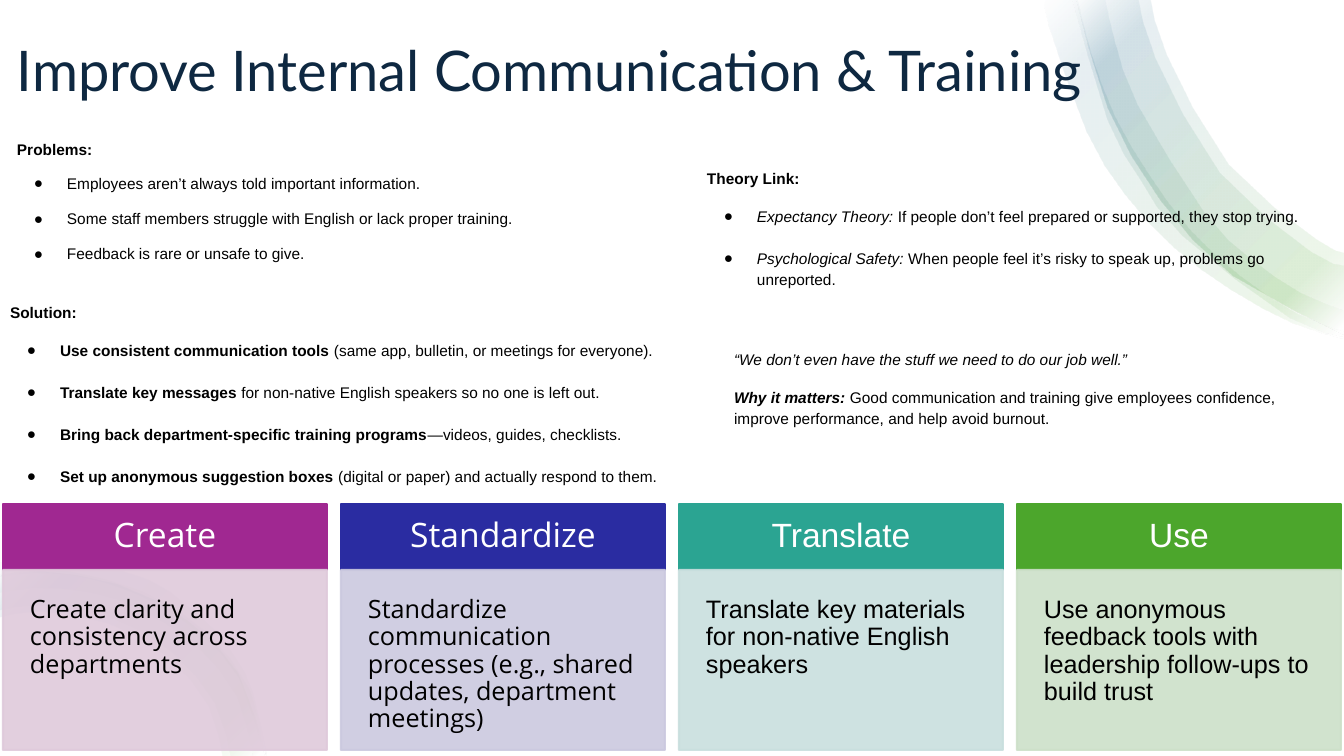
from lxml import etree
from pptx import Presentation
from pptx.dml.color import RGBColor
from pptx.enum.shapes import MSO_SHAPE
from pptx.enum.text import MSO_ANCHOR, PP_ALIGN
from pptx.oxml.ns import qn
from pptx.util import Pt

WIDTH, HEIGHT = 1344, 756
EMU_PER_PX = 12192000 / WIDTH

RECTANGLE = MSO_SHAPE.RECTANGLE
TOP, MIDDLE = MSO_ANCHOR.TOP, MSO_ANCHOR.MIDDLE
LEFT, CENTER = PP_ALIGN.LEFT, PP_ALIGN.CENTER

NAVY = RGBColor(0x0E, 0x28, 0x41)
BLACK = RGBColor(0x00, 0x00, 0x00)
WHITE = RGBColor(0xFF, 0xFF, 0xFF)
GREEN = RGBColor(0x4E, 0xA7, 0x2E)
BLUE = RGBColor(0x15, 0x60, 0x82)
PURPLE, PALE_PURPLE = RGBColor(0xA0, 0x28, 0x91), RGBColor(0xDF, 0xCA, 0xDB)
INDIGO, PALE_INDIGO = RGBColor(0x2A, 0x2C, 0xA1), RGBColor(0xCB, 0xC9, 0xDF)
TEAL, PALE_TEAL = RGBColor(0x2B, 0xA4, 0x92), RGBColor(0xC9, 0xDF, 0xDE)
LEAF, PALE_LEAF = RGBColor(0x4C, 0xA6, 0x2C), RGBColor(0xCD, 0xE0, 0xC9)

RIBBON_STOPS = [(0, WHITE), (2, WHITE), (16, GREEN), (85, BLUE), (100, WHITE)]

# Ribbons: outer edge, then inner edge running back
CORNER_ARC = [(1344, 335), (1233, 276), (1161, 201), (1108, 108), (1077, 0)]
FOOT_ARC = [(265, 756), (238, 674), (187, 621), (118, 585), (40, 572), (0, 577)]
RIBBONS = [
    ([(1344, 338), (1292, 322), (1231, 289), (1174, 247), (1125, 194), (1087, 132),
      (1049, 26), (1045, 0)],
     [(1078, 0), (1091, 52), (1115, 116), (1149, 174), (1190, 229), (1240, 275),
      (1296, 312), (1344, 331)]),
    (CORNER_ARC, [(1151, 0), (1167, 55), (1229, 165), (1317, 240), (1344, 253)]),
    ([(1344, 336), (1289, 317), (1182, 235), (1141, 180), (1108, 120), (1073, 0)],
     [(1106, 0), (1116, 44), (1138, 105), (1205, 213), (1249, 257), (1300, 292), (1344, 310)]),
    (CORNER_ARC, [(1139, 0), (1156, 59), (1220, 173), (1311, 252), (1344, 266)]),
    (FOOT_ARC, [(0, 618), (40, 612), (108, 624), (167, 657), (208, 706), (222, 756)]),
    (FOOT_ARC, [(0, 611), (40, 606), (110, 618), (171, 652), (214, 703), (230, 756)]),
    ([(265, 756), (249, 690), (205, 632), (143, 592), (70, 572), (31, 571), (0, 576)],
     [(0, 593), (33, 589), (68, 590), (102, 596), (135, 608), (194, 644), (236, 697), (252, 756)]),
    ([(266, 756), (252, 692), (235, 658), (212, 628), (182, 602), (149, 580), (72, 557),
      (31, 557), (0, 563)],
     [(0, 577), (32, 573), (70, 575), (106, 583), (140, 596), (172, 614), (202, 636),
      (238, 678), (264, 756)]),
]

CARDS = [
    ("Create", "Create clarity and consistency across departments",
     PURPLE, PALE_PURPLE, "Open Sans"),
    ("Standardize", "Standardize communication processes (e.g., shared updates, "
     "department meetings)", INDIGO, PALE_INDIGO, "Open Sans"),
    ("Translate", "Translate key materials for non-native English speakers",
     TEAL, PALE_TEAL, "Arial"),
    ("Use", "Use anonymous feedback tools with leadership follow-ups to build trust",
     LEAF, PALE_LEAF, "Arial"),
]
CARD_LEFT, CARD_PITCH, CARD_WIDTH = 3, 338, 324

# Runs are (text, style), where style holds "b" for bold and "i" for italic
PROBLEMS = [
    [("Employees aren’t always told important information.", "")],
    [("Some staff members struggle with English or lack proper training.", "")],
    [("Feedback is rare or unsafe to give.", "")],
]
THEORIES = [
    [("Expectancy Theory:", "i"),
     (" If people don’t feel prepared or supported, they stop trying.", "")],
    [("Psychological Safety:", "i"),
     (" When people feel it’s risky to speak up, problems go unreported.", "")],
]
SOLUTIONS = [
    [("Use consistent communication tools", "b"),
     (" (same app, bulletin, or meetings for everyone).", "")],
    [("Translate key messages", "b"),
     (" for non-native English speakers so no one is left out.", "")],
    [("Bring back department-specific training programs", "b"),
     ("—videos, guides, checklists.", "")],
    [("Set up anonymous suggestion boxes", "b"),
     (" (digital or paper) and actually respond to them.", "")],
]
QUOTE = [("“We don’t even have the stuff we need to do our job well.”", "i")]
REASON = [("Why it matters: ", "bi"),
          ("Good communication and training give employees confidence, improve "
           "performance, and help avoid burnout.", "")]


def emu(px):
    return round(px * EMU_PER_PX)


def smooth(points, steps=2):
    """Return a Catmull-Rom curve through the points."""
    padded = [points[0], *points, points[-1]]
    curve = [points[0]]
    for a, b, c, d in zip(padded, padded[1:], padded[2:], padded[3:]):
        for step in range(1, steps + 1):
            t = step / steps
            curve.append(tuple(
                (2 * q + (r - p) * t + (2 * p - 5 * q + 4 * r - s) * t ** 2
                 + (3 * q - p - 3 * r + s) * t ** 3) / 2
                for p, q, r, s in zip(a, b, c, d)))
    return curve


def set_alpha(color, percent):
    etree.SubElement(color, qn("a:alpha"), val=str(percent * 1000))


def add_text(frame, runs, *, size=11, font="Arial", color=BLACK, align=LEFT,
             spacing=0.9, gap=0, bullet=False):
    first = frame.paragraphs[0]
    paragraph = frame.add_paragraph() if first.runs else first
    paragraph.alignment = align
    paragraph.line_spacing = spacing
    paragraph.space_before = Pt(gap)
    for text, style in runs:
        run = paragraph.add_run()
        run.text = text
        run.font.size, run.font.name = Pt(size), font
        run.font.bold, run.font.italic = "b" in style, "i" in style
        run.font.color.rgb = color
    if bullet:
        properties = paragraph._p.get_or_add_pPr()
        properties.set("marL", str(emu(50)))
        properties.set("indent", str(emu(-33)))
        bullet_color = etree.SubElement(properties, qn("a:buClr"))
        etree.SubElement(bullet_color, qn("a:srgbClr"), val=str(BLACK))
        etree.SubElement(properties, qn("a:buFont"), typeface=font)
        etree.SubElement(properties, qn("a:buChar"), char="●")


class SlideBuilder:
    def __init__(self, presentation):
        self.slide = presentation.slides.add_slide(presentation.slide_layouts[6])
        self.shapes = self.slide.shapes

    def set_frame(self, shape, inset_x, inset_y, anchor):
        frame = shape.text_frame
        frame.word_wrap = True
        frame.vertical_anchor = anchor
        frame.margin_left = frame.margin_right = emu(inset_x)
        frame.margin_top = frame.margin_bottom = emu(inset_y)
        return frame

    def text_box(self, left, top, width, height, inset_y=10, anchor=TOP):
        shape = self.shapes.add_textbox(emu(left), emu(top), emu(width), emu(height))
        return self.set_frame(shape, 10, inset_y, anchor)

    def panel(self, left, top, width, height, color, inset=0, anchor=TOP, alpha=100):
        shape = self.shapes.add_shape(RECTANGLE, emu(left), emu(top), emu(width), emu(height))
        shape.shadow.inherit = False
        shape.fill.solid()
        shape.fill.fore_color.rgb = shape.line.color.rgb = color
        shape.line.width = Pt(1.5)
        if alpha < 100:
            for paint in list(shape._element.spPr.iter(qn("a:srgbClr"))):
                set_alpha(paint, alpha)
        return self.set_frame(shape, inset, inset, anchor)

    def ribbon(self, outer, inner):
        start, *rest = [(emu(x), emu(y)) for x, y in smooth(outer) + smooth(inner)]
        builder = self.shapes.build_freeform(*start)
        builder.add_line_segments(rest, close=True)
        shape = builder.convert_to_shape()
        shape.shadow.inherit = False
        shape.line.fill.background()
        shape.fill.gradient()
        shape.fill.gradient_angle = 135
        stops = shape._element.spPr.find(".//" + qn("a:gsLst"))
        stops.clear()
        for position, color in RIBBON_STOPS:
            stop = etree.SubElement(stops, qn("a:gs"), pos=str(position * 1000))
            set_alpha(etree.SubElement(stop, qn("a:srgbClr"), val=str(color)), 10)

    def bullet_list(self, frame, heading, items, spacing, item_gap):
        add_text(frame, [(heading, "b")], spacing=spacing, gap=12)
        for index, runs in enumerate(items):
            add_text(frame, runs, spacing=spacing, gap=item_gap if index else 12, bullet=True)


def main():
    presentation = Presentation()
    presentation.slide_width, presentation.slide_height = emu(WIDTH), emu(HEIGHT)
    builder = SlideBuilder(presentation)

    # White backdrop and corner ribbons
    builder.panel(367, 161, WIDTH, 395, WHITE)
    for outer, inner in RIBBONS:
        builder.ribbon(outer, inner)

    # Title
    title = builder.text_box(7, 0, 1159, 146, inset_y=5, anchor=MIDDLE)
    add_text(title, [("Improve Internal Communication & Training", "")],
             size=40, font="Lato", color=NAVY)

    # Action cards
    for index, (heading, detail, color, pale, font) in enumerate(CARDS):
        left = CARD_LEFT + index * CARD_PITCH
        header = builder.panel(left, 504, CARD_WIDTH, 66, color, 21, MIDDLE)
        add_text(header, [(heading, "")], size=24, font=font, color=WHITE, align=CENTER)
        body = builder.panel(left, 570, CARD_WIDTH, 180, pale, 27, alpha=90)
        add_text(body, [(detail, "")], size=18, font=font)

    # Bulleted lists
    builder.bullet_list(builder.text_box(7, 136, 610, 192, inset_y=5),
                        "Problems:", PROBLEMS, 0.95, 12.5)
    builder.bullet_list(builder.text_box(697, 156, 647, 171),
                        "Theory Link:", THEORIES, 1.15, 15)
    builder.bullet_list(builder.text_box(0, 290, 747, 210),
                        "Solution:", SOLUTIONS, 1.15, 15)

    # Quote and reason
    quote = builder.text_box(724, 337, 620, 222)
    for runs in (QUOTE, REASON):
        add_text(quote, runs, spacing=1.15, gap=12)

    presentation.save("out.pptx")


if __name__ == "__main__":
    main()
